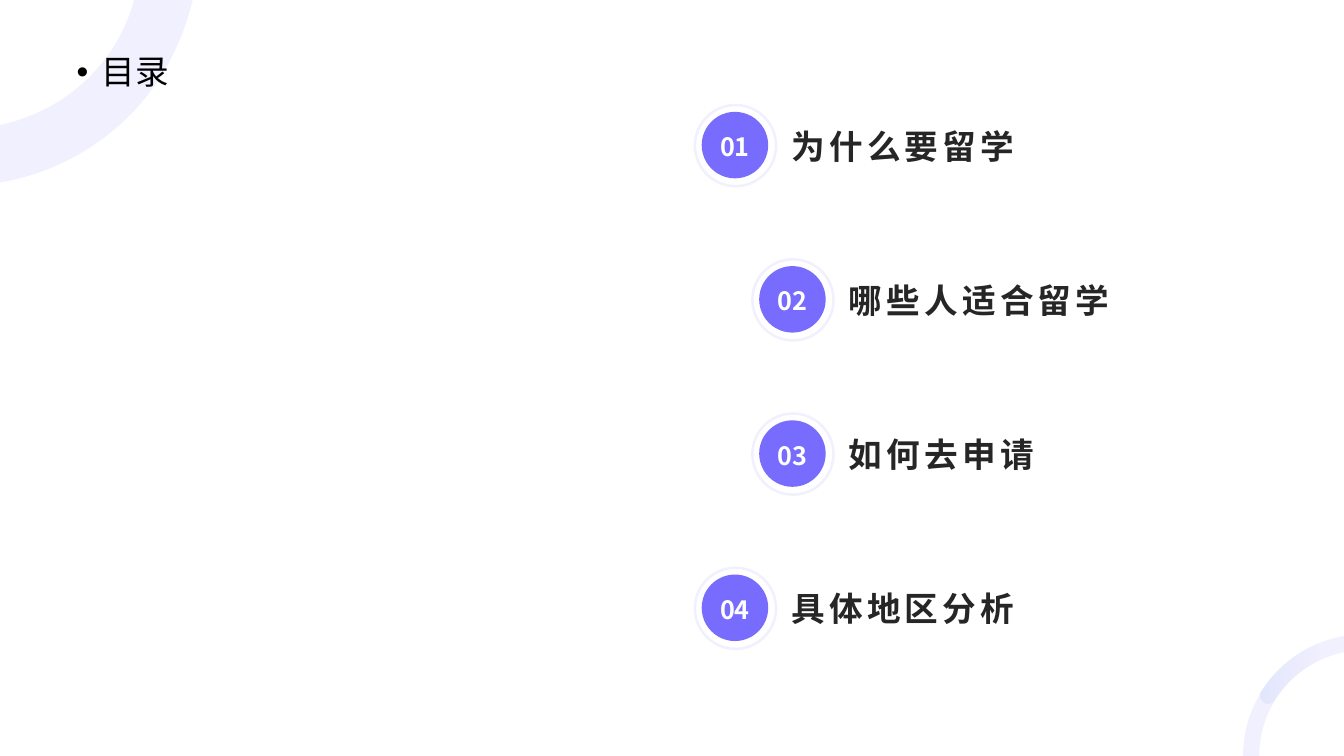
from dataclasses import dataclass

from lxml.etree import SubElement
from pptx import Presentation
from pptx.dml.color import RGBColor
from pptx.enum.shapes import MSO_SHAPE as SHAPE
from pptx.enum.text import MSO_ANCHOR as ANCHOR, PP_ALIGN as ALIGN
from pptx.oxml.ns import qn
from pptx.util import Inches, Pt


@dataclass(frozen=True)
class Theme:
    font: str = "Noto Sans CJK SC"
    violet: RGBColor = RGBColor(0x77, 0x6C, 0xFD)
    blue: RGBColor = RGBColor(0x5D, 0x95, 0xF1)
    white: RGBColor = RGBColor(0xFF, 0xFF, 0xFF)
    black: RGBColor = RGBColor(0, 0, 0)
    ink: RGBColor = RGBColor(0x26, 0x26, 0x26)
    heading_size: int = 24
    number_size: int = 18
    tint: int = 10


THEME = Theme()
WIDTH, HEIGHT = 13.33, 7.5


# Shared helpers
def set_alphas(shape, *percents):
    for color, percent in zip(shape.fill._xPr.iter(qn("a:srgbClr")), percents):
        SubElement(color, qn("a:alpha"), val=str(percent * 1000))


def paint(shape, color, alpha=None):
    shape.shadow.inherit = False
    shape.line.fill.background()
    shape.fill.solid()
    shape.fill.fore_color.rgb = color
    if alpha is not None:
        set_alphas(shape, alpha)


def add_run(paragraph, text, size, color, bold=False, spacing=0):
    run = paragraph.add_run()
    run.text = text
    run.font.name = THEME.font
    run.font.size = Pt(size)
    run.font.bold = bold
    run.font.color.rgb = color
    properties = run.font._element
    SubElement(properties, qn("a:ea"), typeface=THEME.font)
    if spacing:
        properties.set("spc", str(spacing * 100))


def prepare_frame(frame, anchor, wrap=True):
    frame.margin_left = frame.margin_right = frame.margin_top = frame.margin_bottom = 0
    frame.vertical_anchor = anchor
    frame.word_wrap = wrap
    return frame.paragraphs[0]


def add_text_box(slide, left, top, width, height, anchor):
    box = slide.shapes.add_textbox(Inches(left), Inches(top), Inches(width), Inches(height))
    return prepare_frame(box.text_frame, anchor)


def add_outline(slide, left, top, start, segments):
    """Closed outline; a segment of one point is a line, of three a cubic curve."""
    points = [point for segment in segments for point in segment]
    first, *rest = [(Inches(left + x), Inches(top + y)) for x, y in (start, *points)]
    builder = slide.shapes.build_freeform(*first, scale=1.0)
    builder.add_line_segments(rest, close=True)
    outline = builder.convert_to_shape()
    steps = iter(list(outline._element.iter(qn("a:lnTo"))))
    for segment in segments:
        step = next(steps)
        if len(segment) == 3:
            step.tag = qn("a:cubicBezTo")
            for extra in (next(steps), next(steps)):
                step.append(extra[0])
                extra.getparent().remove(extra)
    return outline


# Decorative arcs
def add_top_arc(slide, left, top):
    band = add_outline(slide, left, top, (0, 1.24), [
        ((0.42, 1.15), (0.8, 0.92), (1.07, 0.55)),
        ((1.19, 0.38), (1.28, 0.19), (1.33, 0)),
        ((1.91, 0),),
        ((1.84, 0.3), (1.71, 0.6), (1.52, 0.87)),
        ((1.14, 1.39), (0.59, 1.71), (0, 1.81)),
    ])
    paint(band, THEME.violet, THEME.tint)


def add_bottom_arc(slide, left, top):
    band = add_outline(slide, left, top, (1, 0), [
        ((0.43, 0.1), (0, 0.59), (0, 1.19)),
        ((0.16, 1.19),),
        ((0.16, 0.68), (0.52, 0.26), (1, 0.16)),
    ])
    paint(band, THEME.violet, THEME.tint)

    # Rounded highlight fading to the right
    glow = add_outline(slide, left, top, (1, 0), [
        ((1, 0.16),),
        ((0.71, 0.22), (0.47, 0.39), (0.31, 0.63)),
        ((0.29, 0.67), (0.24, 0.68), (0.21, 0.66)),
        ((0.17, 0.63), (0.16, 0.58), (0.18, 0.55)),
        ((0.36, 0.26), (0.66, 0.06), (1, 0)),
    ])
    paint(glow, THEME.blue)
    glow.fill.gradient()
    glow.fill.gradient_angle = 359
    for stop, position in zip(glow.fill.gradient_stops, (0, 0.7)):
        stop.color.rgb = THEME.blue
        stop.position = position
    set_alphas(glow, THEME.tint, 0)


# Heading
def add_heading(slide, left, top, width, height, text):
    heading = add_text_box(slide, left, top, width, height, ANCHOR.TOP)
    heading.line_spacing = 1.3
    heading.space_before = Pt(10)
    properties = heading._p.get_or_add_pPr()
    properties.set("marL", str(Inches(0.25)))
    properties.set("indent", str(Inches(-0.25)))
    SubElement(properties, qn("a:buFont"), typeface="Arial")
    SubElement(properties, qn("a:buChar"), char="•")
    add_run(heading, text, THEME.heading_size, THEME.black)


# Agenda entry: ring, numbered disc and title
def add_entry(slide, left, top, number, title):
    ring_size, disc_size = 0.83, 0.66
    ring = slide.shapes.add_shape(
        SHAPE.DONUT, Inches(left), Inches(top), Inches(ring_size), Inches(ring_size))
    ring.adjustments[0] = 0.03
    paint(ring, THEME.violet, THEME.tint)

    disc = slide.shapes.add_shape(
        SHAPE.OVAL, Inches(left + 0.08), Inches(top + 0.08), Inches(disc_size), Inches(disc_size))
    paint(disc, THEME.violet)
    label = prepare_frame(disc.text_frame, ANCHOR.MIDDLE, wrap=False)
    label.alignment = ALIGN.CENTER
    label.line_spacing = 1.1
    add_run(label, f"{number:02}", THEME.number_size, THEME.white, bold=True)

    caption = add_text_box(slide, left + 0.97, top + 0.14, 4.02, 0.55, ANCHOR.MIDDLE)
    add_run(caption, title, THEME.heading_size, THEME.ink, bold=True, spacing=3)


def add_agenda(slide, left, top):
    entries = (("为什么要留学", 0), ("哪些人适合留学", 0.57),
               ("如何去申请", 0.57), ("具体地区分析", 0))
    for index, (title, shift) in enumerate(entries):
        add_entry(slide, left + shift, top + index * 1.53, index + 1, title)


def main():
    deck = Presentation()
    deck.slide_width, deck.slide_height = Inches(WIDTH), Inches(HEIGHT)
    slide = deck.slides.add_slide(deck.slide_layouts[6])
    slide.background.fill.solid()
    slide.background.fill.fore_color.rgb = THEME.white
    add_top_arc(slide, 0, 0)
    add_bottom_arc(slide, WIDTH - 1, HEIGHT - 1.19)
    add_heading(slide, 0.76, 0.39, 11.81, 6.36, "目录")
    add_agenda(slide, 6.88, 1.03)
    deck.save("out.pptx")


if __name__ == "__main__":
    main()
